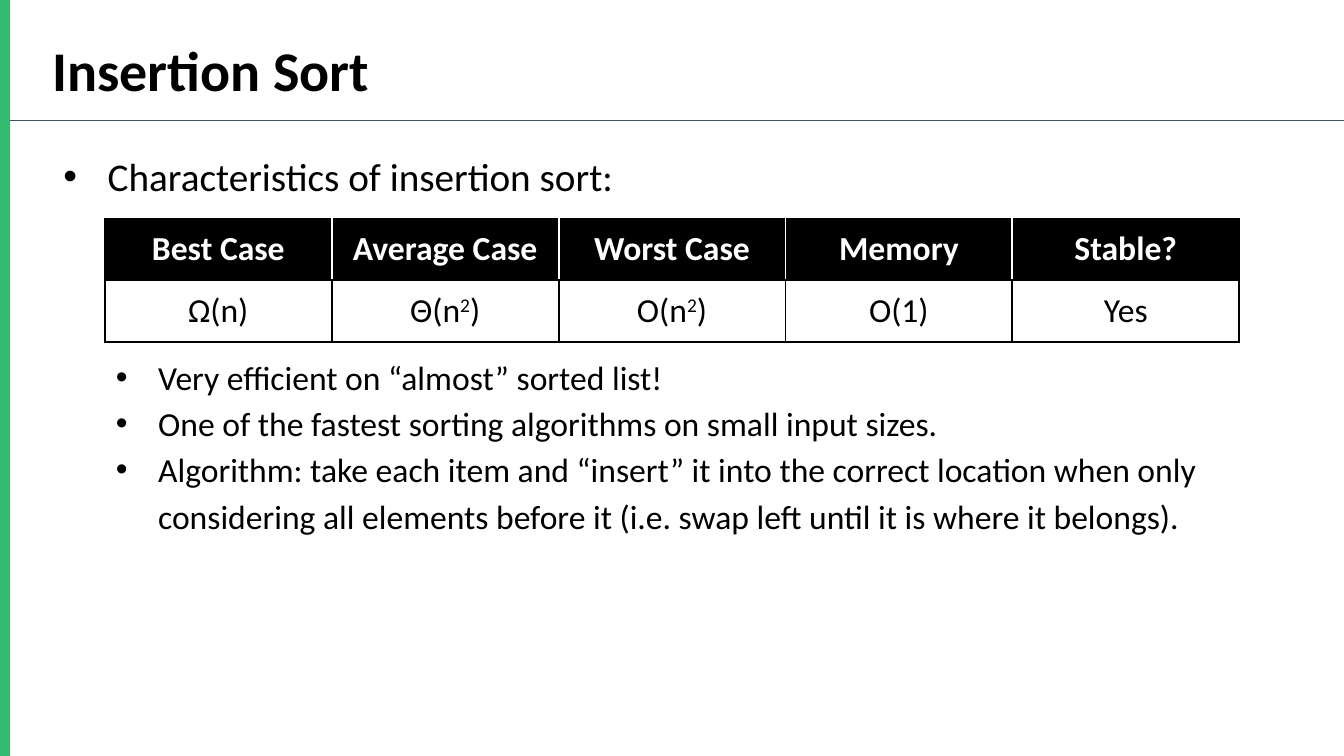
from dataclasses import dataclass

from lxml import etree
from pptx import Presentation
from pptx.dml.color import RGBColor
from pptx.enum.shapes import MSO_CONNECTOR, MSO_SHAPE
from pptx.enum.text import MSO_ANCHOR, PP_ALIGN
from pptx.oxml.ns import qn
from pptx.slide import Slide
from pptx.table import _Cell
from pptx.text.text import TextFrame, _Paragraph
from pptx.util import Inches, Pt

CENTER = PP_ALIGN.CENTER
LEFT = PP_ALIGN.LEFT
TOP = MSO_ANCHOR.TOP
RECTANGLE = MSO_SHAPE.RECTANGLE
STRAIGHT = MSO_CONNECTOR.STRAIGHT

BLACK = RGBColor(0x00, 0x00, 0x00)
WHITE = RGBColor(0xFF, 0xFF, 0xFF)
GREEN = RGBColor(0x32, 0xBA, 0x6E)
SLATE = RGBColor(0x44, 0x54, 0x6A)
FONT = "Calibri"


@dataclass(frozen=True)
class Bullet:
    text: str
    size: int = 24
    level: int = 1
    margin: float = 1.0
    hanging: float = 0.42
    space_before: int = 0


BULLETS = [
    Bullet("Characteristics of insertion sort:", 28, 0, 0.5, 0.44),
    # The wide gap leaves room for the table.
    Bullet("Very efficient on “almost” sorted list!", space_before=108),
    Bullet("One of the fastest sorting algorithms on small input sizes."),
    Bullet("Algorithm: take each item and “insert” it into the correct location when only "
           "considering all elements before it (i.e. swap left until it is where it belongs)."),
]
COMPLEXITY_ROWS = [
    ["Best Case", "Average Case", "Worst Case", "Memory", "Stable?"],
    ["Ω(n)", "Θ(n²)", "O(n²)", "O(1)", "Yes"],
]
COLUMN_WIDTH, ROW_HEIGHT = 2.25, 0.61


def set_font(paragraph: _Paragraph, size: int, color: RGBColor = BLACK, bold: bool = False) -> None:
    font = paragraph.font
    font.name, font.size, font.bold = FONT, Pt(size), bold
    font.color.rgb = color


def set_margins(frame: TextFrame | _Cell, vertical: float) -> None:
    frame.margin_left = frame.margin_right = Inches(0.1)
    frame.margin_top = frame.margin_bottom = Inches(vertical)


def add_frame_lines(slide: Slide) -> None:
    """Draw the green side bar and the rule under the title."""
    bar = slide.shapes.add_shape(RECTANGLE, 0, 0, Inches(0.1), Inches(7.5))
    bar.shadow.inherit = False
    bar.fill.solid()
    bar.fill.fore_color.rgb = GREEN
    bar.line.fill.background()
    rule = slide.shapes.add_connector(STRAIGHT, Inches(0.1), Inches(1.2), Inches(13.33), Inches(1.2))
    rule.line.color.rgb = SLATE
    rule.line.width = Pt(0.75)
    etree.SubElement(rule._element.spPr, qn("a:effectLst"))


def add_title(slide: Slide) -> None:
    title = slide.shapes.title
    title.left, title.top = Inches(0.42), Inches(0.25)
    title.width, title.height = Inches(12.39), Inches(1.21)
    frame = title.text_frame
    frame.text = "Insertion Sort"
    frame.vertical_anchor = TOP
    set_margins(frame, 0.1)
    frame.paragraphs[0].alignment = LEFT
    set_font(frame.paragraphs[0], 40, bold=True)


def add_bullets(slide: Slide) -> None:
    box = slide.shapes.add_textbox(Inches(0.47), Inches(1.39), Inches(12.55), Inches(5.92))
    frame = box.text_frame
    frame.word_wrap = True
    set_margins(frame, 0.05)
    for index, bullet in enumerate(BULLETS):
        paragraph = frame.add_paragraph() if index else frame.paragraphs[0]
        paragraph.text = bullet.text
        paragraph.level = bullet.level
        paragraph.line_spacing = 1.15
        if bullet.space_before:
            paragraph.space_before = Pt(bullet.space_before)
        properties = paragraph._p.get_or_add_pPr()
        properties.set("marL", str(Inches(bullet.margin)))
        properties.set("indent", str(-Inches(bullet.hanging)))
        etree.SubElement(properties, qn("a:buFont"), typeface="Arial")
        etree.SubElement(properties, qn("a:buChar"), char="•")
        set_font(paragraph, bullet.size)


def set_border(cell: _Cell, side: str, color: RGBColor) -> None:
    line = etree.SubElement(cell._tc.get_or_add_tcPr(), qn(f"a:ln{side}"), w=str(Pt(1.5)))
    fill = etree.SubElement(line, qn("a:solidFill"))
    etree.SubElement(fill, qn("a:srgbClr"), val=str(color))


def add_formula(paragraph: _Paragraph, text: str) -> None:
    """Add the text, with each ² set as a raised 2."""
    before, square, after = text.partition("²")
    paragraph.add_run().text = before
    if square:
        exponent = paragraph.add_run()
        exponent.text = "2"
        exponent._r.get_or_add_rPr().set("baseline", "30000")
        paragraph.add_run().text = after


def add_complexity_table(slide: Slide) -> None:
    row_count, column_count = len(COMPLEXITY_ROWS), len(COMPLEXITY_ROWS[0])
    table = slide.shapes.add_table(
        row_count, column_count, Inches(1.04), Inches(2.17),
        Inches(COLUMN_WIDTH * column_count), Inches(ROW_HEIGHT * row_count)).table
    table.horz_banding = False
    for row, texts in enumerate(COMPLEXITY_ROWS):
        is_header = row == 0
        inner_color = WHITE if is_header else BLACK
        for column, text in enumerate(texts):
            cell = table.cell(row, column)
            set_margins(cell, 0.1)
            set_border(cell, "L", inner_color if column > 0 else BLACK)
            set_border(cell, "R", inner_color if column < column_count - 1 else BLACK)
            set_border(cell, "T", BLACK)
            set_border(cell, "B", BLACK)
            cell.fill.solid()
            cell.fill.fore_color.rgb = BLACK if is_header else WHITE
            paragraph = cell.text_frame.paragraphs[0]
            add_formula(paragraph, text)
            paragraph.alignment = CENTER
            set_font(paragraph, 24, WHITE if is_header else BLACK, is_header)


def main() -> None:
    presentation = Presentation()
    presentation.slide_width, presentation.slide_height = Inches(13.33), Inches(7.5)
    slide = presentation.slides.add_slide(presentation.slide_layouts[5])
    add_frame_lines(slide)
    add_title(slide)
    add_bullets(slide)
    add_complexity_table(slide)
    presentation.save("out.pptx")


if __name__ == "__main__":
    main()
